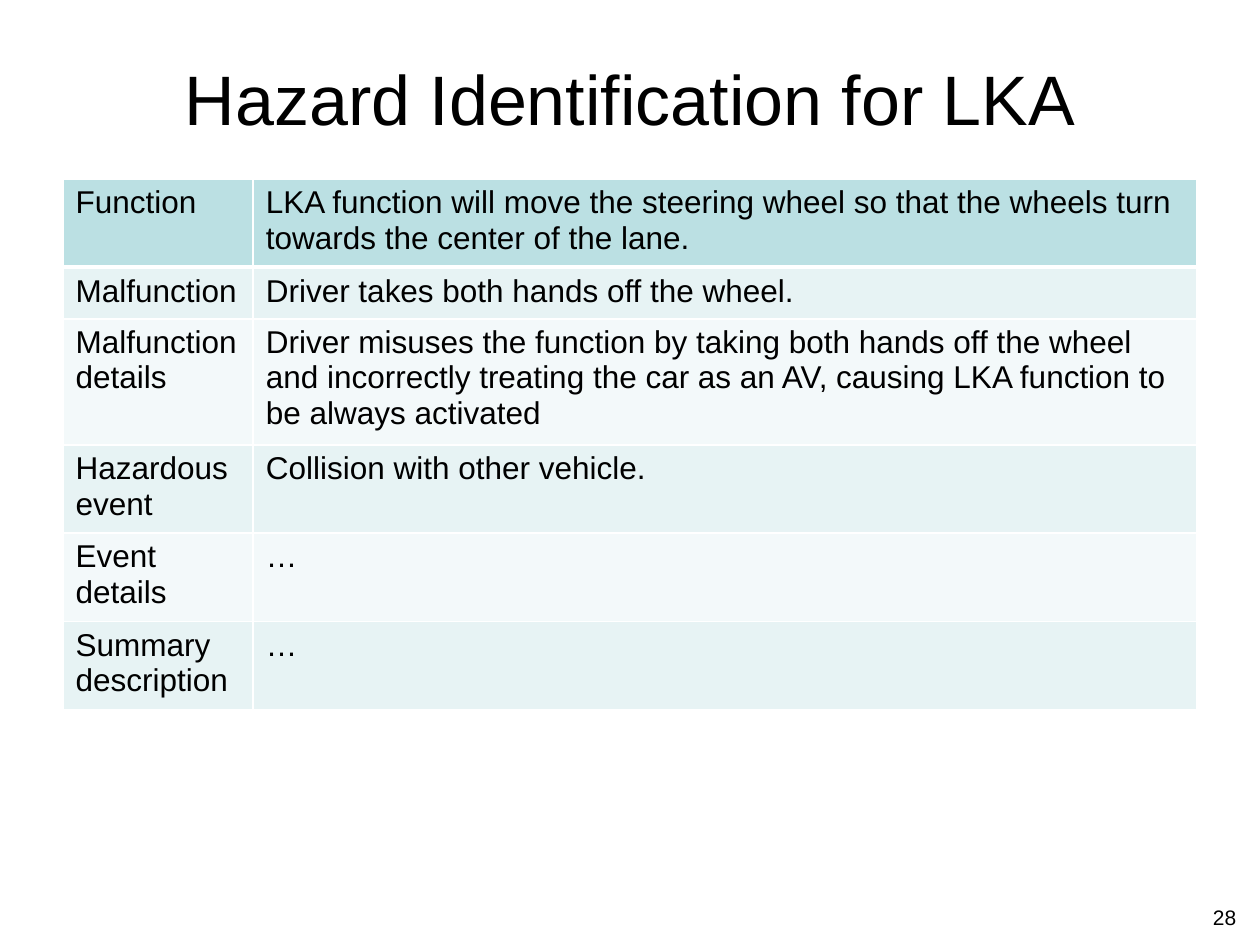
from lxml.etree import SubElement
from pptx import Presentation
from pptx.dml.color import RGBColor
from pptx.enum.text import MSO_ANCHOR, PP_ALIGN
from pptx.oxml.ns import qn
from pptx.util import Inches, Pt

TITLE = "Hazard Identification for LKA"
PAGE_NUMBER = "28"
# Label, description, row height in inches
HAZARD_ROWS = [
    ("Function", "LKA function will move the steering wheel so that the wheels "
     "turn towards the center of the lane.", 0.65),
    ("Malfunction", "Driver takes both hands off the wheel.", 0.41),
    ("Malfunction details", "Driver misuses the function by taking both hands off "
     "the wheel and incorrectly treating the car as an AV, causing LKA function "
     "to be always activated", 0.94),
    ("Hazardous event", "Collision with other vehicle.", 0.66),
    ("Event details", "…", 0.66),
    ("Summary description", "…", 0.66),
]
COLUMN_WIDTHS = (1.51, 7.49)

BLACK = RGBColor(0x00, 0x00, 0x00)
WHITE = RGBColor(0xFF, 0xFF, 0xFF)
HEADER_FILL = RGBColor(0xBB, 0xE0, 0xE3)
BAND_FILLS = (RGBColor(0xF3, 0xF9, 0xFA), RGBColor(0xE7, 0xF3, 0xF4))


def set_text(text_frame, text, size, alignment=PP_ALIGN.LEFT):
    paragraph = text_frame.paragraphs[0]
    paragraph.text = text
    paragraph.alignment = alignment
    paragraph.font.name = "Arial"
    paragraph.font.size = Pt(size)
    paragraph.font.color.rgb = BLACK


def add_text(slide, box, text, size, alignment):
    text_frame = slide.shapes.add_textbox(*map(Inches, box)).text_frame
    text_frame.word_wrap = True
    text_frame.vertical_anchor = MSO_ANCHOR.MIDDLE
    set_text(text_frame, text, size, alignment)


def set_borders(cell, top, bottom):
    properties = cell._tc.get_or_add_tcPr()
    for side, width in (("L", 1), ("R", 1), ("T", top), ("B", bottom)):
        line = SubElement(properties, qn(f"a:ln{side}"), w=str(Pt(width)))
        fill = SubElement(line, qn("a:solidFill"))
        SubElement(fill, qn("a:srgbClr"), val=str(WHITE))


def add_hazard_table(slide):
    heights = [height for _, _, height in HAZARD_ROWS]
    table = slide.shapes.add_table(
        len(HAZARD_ROWS), len(COLUMN_WIDTHS), Inches(0.5), Inches(1.42),
        Inches(sum(COLUMN_WIDTHS)), Inches(sum(heights))).table
    for column, width in zip(table.columns, COLUMN_WIDTHS):
        column.width = Inches(width)
    for index, (label, description, height) in enumerate(HAZARD_ROWS):
        table.rows[index].height = Inches(height)
        for cell, text in zip(table.rows[index].cells, (label, description)):
            set_text(cell.text_frame, text, 18)
            # A thick rule separates the header row from the bands
            set_borders(cell, top=3 if index == 1 else 1,
                        bottom=3 if index == 0 else 1)
            cell.fill.solid()
            cell.fill.fore_color.rgb = BAND_FILLS[index % 2] if index else HEADER_FILL


def main():
    presentation = Presentation()
    presentation.slide_width = Inches(10)
    presentation.slide_height = Inches(7.5)
    slide = presentation.slides.add_slide(presentation.slide_layouts[6])

    # Title, table, page number
    add_text(slide, (0.5, 0.3, 9, 0.95), TITLE, 40, PP_ALIGN.CENTER)
    add_hazard_table(slide)
    add_text(slide, (7.58, 7.14, 2.33, 0.27), PAGE_NUMBER, 12, PP_ALIGN.RIGHT)

    presentation.save("out.pptx")


if __name__ == "__main__":
    main()
